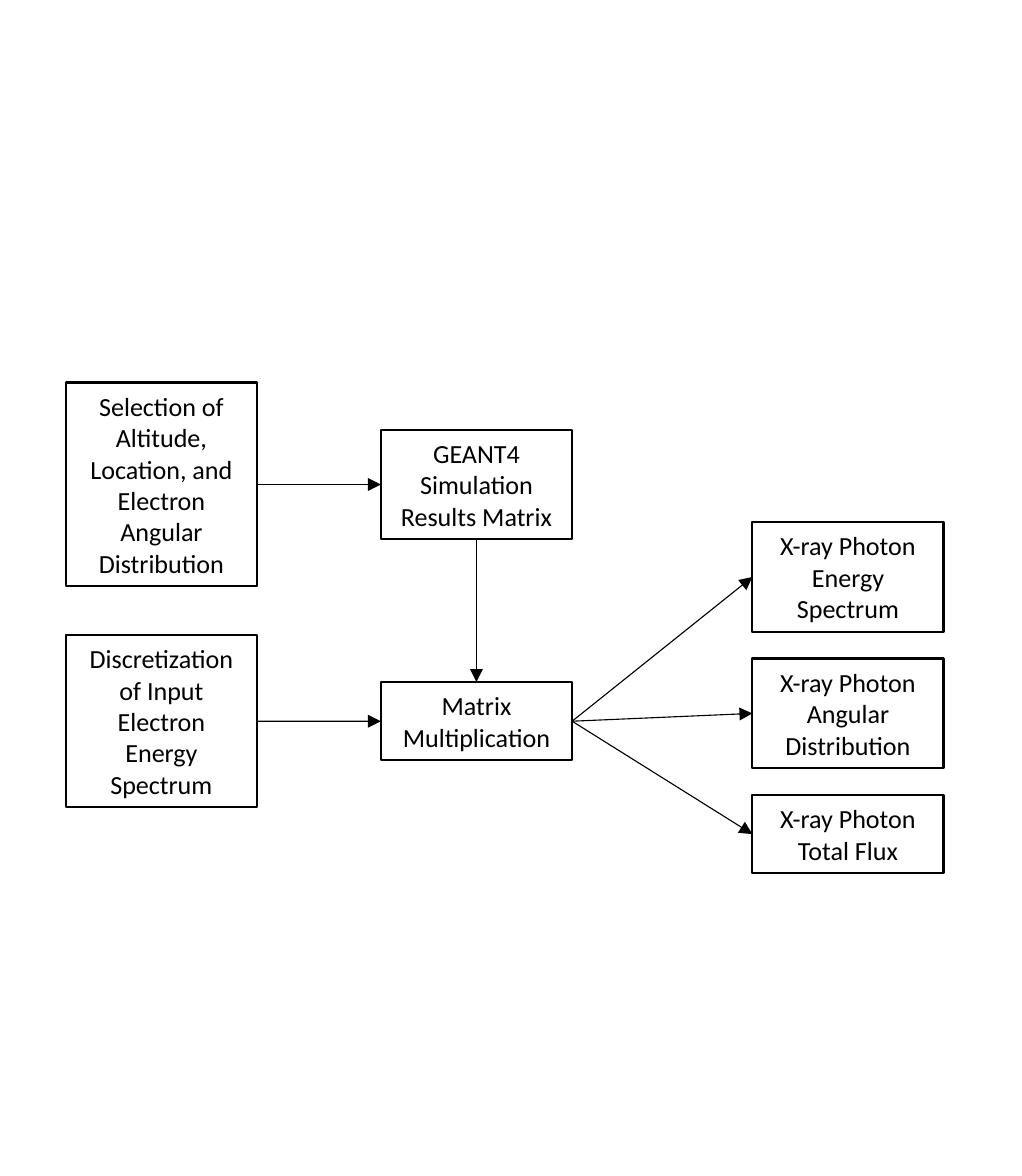
from dataclasses import dataclass
from enum import IntEnum

from lxml.etree import SubElement
from pptx import Presentation
from pptx.dml.color import RGBColor
from pptx.enum.shapes import MSO_CONNECTOR, MSO_SHAPE
from pptx.enum.text import MSO_ANCHOR, MSO_AUTO_SIZE, PP_ALIGN
from pptx.oxml.ns import qn
from pptx.shapes.autoshape import Shape
from pptx.util import Inches, Pt

BLACK = RGBColor(0x00, 0x00, 0x00)
WHITE = RGBColor(0xFF, 0xFF, 0xFF)

INPUT_COLUMN, PROCESS_COLUMN, OUTPUT_COLUMN = 0.42, 2.43, 4.8
SIMULATION_ROW, MULTIPLICATION_ROW = 3.09, 4.6
OUTPUT_TOP, OUTPUT_GAP = 3.33, 0.17
STEP_WIDTH = 1.22
LINE_HEIGHT, TEXT_MARGIN = 0.2, 0.05


class Side(IntEnum):
    """Connection sites of a rectangle."""
    TOP = 0
    LEFT = 1
    BOTTOM = 2
    RIGHT = 3


@dataclass(frozen=True)
class Step:
    """A step of the flow, as tall as its wrapped lines of text."""
    label: str
    lines: int
    column: float
    middle: float

    @property
    def height(self) -> float:
        return self.lines * LINE_HEIGHT + 2 * TEXT_MARGIN


@dataclass(frozen=True)
class Flow:
    """An arrow from one step to another."""
    source: str
    target: str
    leaves: Side = Side.RIGHT
    enters: Side = Side.LEFT


def stack_outputs(outputs: list[tuple[str, int]]) -> list[Step]:
    """Place the output steps below each other with equal gaps."""
    top, steps = OUTPUT_TOP, []
    for label, lines in outputs:
        height = lines * LINE_HEIGHT + 2 * TEXT_MARGIN
        steps.append(Step(label, lines, OUTPUT_COLUMN, top + height / 2))
        top += height + OUTPUT_GAP
    return steps


def write_text(box: Shape, text: str, *, size: float = 12, font: str = "Calibri",
               color: RGBColor = BLACK, align: PP_ALIGN = PP_ALIGN.CENTER) -> None:
    """Write wrapped text into a shape."""
    frame = box.text_frame
    frame.word_wrap = True
    frame.auto_size = MSO_AUTO_SIZE.SHAPE_TO_FIT_TEXT
    frame.vertical_anchor = MSO_ANCHOR.TOP
    frame.margin_top = frame.margin_bottom = Inches(TEXT_MARGIN)
    paragraph = frame.paragraphs[0]
    paragraph.alignment = align
    run = paragraph.add_run()
    run.text = text
    run.font.size, run.font.name = Pt(size), font
    run.font.color.rgb = color


def draw_step(slide, step: Step) -> Shape:
    """Draw the outlined rectangle of a step."""
    box = slide.shapes.add_shape(
        MSO_SHAPE.RECTANGLE, Inches(step.column), Inches(step.middle - step.height / 2),
        Inches(STEP_WIDTH), Inches(step.height))
    box.shadow.inherit = False
    box.fill.solid()
    box.fill.fore_color.rgb = WHITE
    box.line.color.rgb = BLACK
    box.line.width = Pt(1)
    write_text(box, step.label)
    return box


def draw_flow(slide, flow: Flow, boxes: dict[str, Shape]) -> None:
    """Draw an arrow glued to the two steps of a flow."""
    arrow = slide.shapes.add_connector(MSO_CONNECTOR.STRAIGHT, 0, 0, 0, 0)
    arrow.begin_connect(boxes[flow.source], flow.leaves)
    arrow.end_connect(boxes[flow.target], flow.enters)
    arrow.line.color.rgb = BLACK
    arrow.line.width = Pt(0.5)
    SubElement(arrow.line._get_or_add_ln(), qn("a:tailEnd"), type="triangle")
    SubElement(arrow._element.spPr, qn("a:effectLst"))


SELECTION = "Selection of Altitude, Location, and Electron Angular Distribution"
DISCRETIZATION = "Discretization of Input Electron Energy Spectrum"
SIMULATION = "GEANT4 Simulation Results Matrix"
MULTIPLICATION = "Matrix Multiplication"
OUTPUTS = [("X-ray Photon Energy Spectrum", 3),
           ("X-ray Photon Angular Distribution", 3),
           ("X-ray Photon Total Flux", 2)]

STEPS = [
    Step(SELECTION, 6, INPUT_COLUMN, SIMULATION_ROW),
    Step(SIMULATION, 3, PROCESS_COLUMN, SIMULATION_ROW),
    Step(DISCRETIZATION, 5, INPUT_COLUMN, MULTIPLICATION_ROW),
    Step(MULTIPLICATION, 2, PROCESS_COLUMN, MULTIPLICATION_ROW),
    *stack_outputs(OUTPUTS),
]
FLOWS = [
    Flow(SELECTION, SIMULATION),
    Flow(DISCRETIZATION, MULTIPLICATION),
    Flow(SIMULATION, MULTIPLICATION, Side.BOTTOM, Side.TOP),
    *(Flow(MULTIPLICATION, label) for label, _ in OUTPUTS),
]


def main() -> None:
    """Build and save the flow chart."""
    deck = Presentation()
    deck.slide_width, deck.slide_height = Inches(6.52), Inches(7.5)
    slide = deck.slides.add_slide(deck.slide_layouts[6])
    boxes = {step.label: draw_step(slide, step) for step in STEPS}
    for flow in FLOWS:
        draw_flow(slide, flow, boxes)
    deck.save("out.pptx")


main()
